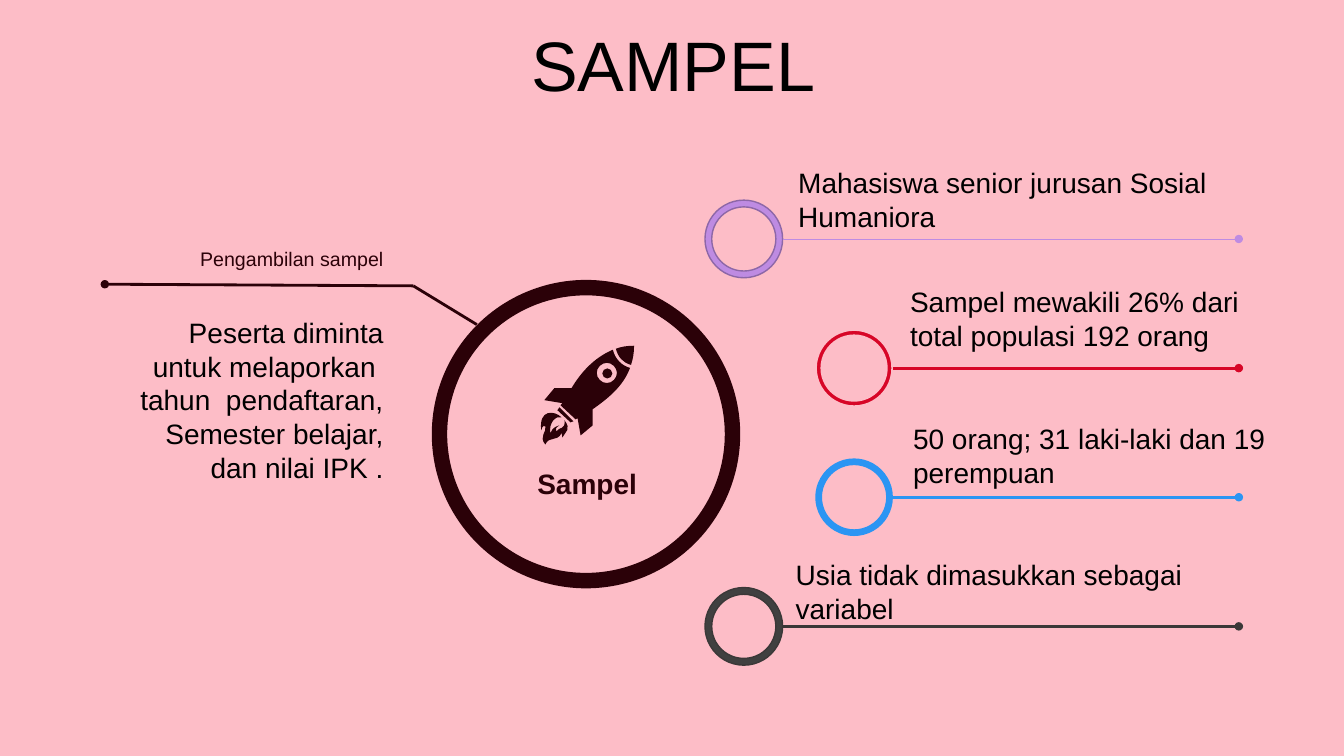
from itertools import chain, count

from lxml.etree import SubElement
from pptx import Presentation
from pptx.dml.color import RGBColor
from pptx.enum.shapes import MSO_CONNECTOR, MSO_SHAPE
from pptx.enum.text import MSO_ANCHOR, PP_ALIGN
from pptx.oxml.ns import qn
from pptx.util import Inches, Pt

CELL = 0.1
COLUMNS, ROWS = 133.33, 75
PINK, MAROON, BLACK = "FDBDC7", "2B0108", "000000"
RING, FIRST_RING, RING_PITCH = 7.7, 19.86, 12.81
BRANCH_END = 122.9

FACTS = [
    (69.94, "BE8BE2", "8D67A7", 1, "BE8BE2", 0.5, (78.2, 15.94, 44.4),
     "Mahasiswa senior jurusan Sosial Humaniora"),
    (80.88, "D70627", PINK, 2.25, "D70627", 2, (89.3, 27.7, 38.6),
     "Sampel mewakili 26% dari total populasi 192 orang"),
    (80.88, "2B95F3", None, 0, "2B95F3", 2, (89.6, 41.3, 43.7),
     "50 orang; 31 laki-laki dan 19 perempuan"),
    (69.94, "404040", "3B3838", 1, "3B3838", 2, (77.94, 54.8, 47.7),
     "Usia tidak dimasukkan sebagai variabel"),
]

ROCKET = [
    [(55.7, 41.4),
     (55.2, 41.2, 54.4, 41.9, 54.6, 43), (54.8, 42.4, 55.2, 42.3, 55.5, 42.2),
     (55.4, 42.3, 55, 42.4, 55.2, 42.8), (55.5, 42.3, 56.1, 42.7, 56, 41.7),
     (56.7, 42.6, 56.1, 42.8, 55.8, 43.4), (55.7, 43.3, 55.8, 42.7, 55.7, 43),
     (55.2, 43.9, 54.5, 43.2, 54.1, 44.1), (53.4, 43.3, 54.3, 42.8, 54.1, 42.3),
     (54, 42.2, 53.8, 42.2, 53.7, 42.7), (53.4, 40.6, 55, 40.7, 55.7, 41.4)],
    [(55.5, 40.4), (56.9, 41.8), (56.8, 41.8, 56.7, 41.9, 56.6, 41.9),
     (55.3, 40.7)],
    [(60.6, 36.7),
     (60.8, 36.9, 60.8, 37.2, 60.6, 37.4), (60.4, 37.6, 60.1, 37.6, 59.9, 37.4),
     (59.7, 37.2, 59.7, 36.9, 59.9, 36.7), (60.1, 36.5, 60.4, 36.5, 60.6, 36.7)],
    [(60.9, 36.3),
     (60.5, 35.9, 59.9, 35.9, 59.5, 36.3), (59.1, 36.7, 59.1, 37.3, 59.5, 37.7),
     (59.9, 38.1, 60.5, 38.1, 60.9, 37.7), (61.3, 37.3, 61.3, 36.7, 60.9, 36.3)],
    [(60.8, 34.7),
     (61, 35.6, 61.7, 36.3, 62.5, 36.5), (61.8, 38.4, 60.2, 39.6, 58.8, 40.6),
     (58.8, 42.2), (57.6, 43.2), (57.3, 41.5), (57.1, 41.6), (55.6, 40.2),
     (55.7, 40.1, 55.7, 40.1, 55.8, 40), (54, 39.7), (55, 38.5), (56.7, 38.5),
     (57.6, 37, 58.9, 35.5, 60.8, 34.7)],
    [(62.9, 34.3),
     (62.9, 35, 62.8, 35.6, 62.6, 36.2), (61.8, 36, 61.3, 35.4, 61.1, 34.6),
     (61.6, 34.4, 62.2, 34.3, 62.9, 34.3)],
]


def grid(*cells):
    """Turn grid cells into slide lengths."""
    return [Inches(cell * CELL) for cell in cells]


def color(value):
    """Turn a hex string into a colour."""
    return RGBColor.from_string(value)


def paint(figure, fill, outline=None, weight=0):
    """Give a figure its fill and outline and take away its shadow."""
    figure.shadow.inherit = False
    figure.fill.solid()
    figure.fill.fore_color.rgb = color(fill)
    if outline:
        figure.line.color.rgb = color(outline)
        figure.line.width = Pt(weight)
    else:
        figure.line.fill.background()


def add_ring(slide, left, top, size, thickness, fill, outline=None, weight=0):
    """Draw a ring."""
    ring = slide.shapes.add_shape(MSO_SHAPE.DONUT, *grid(left, top, size, size))
    ring.adjustments[0] = thickness
    paint(ring, fill, outline, weight)


def add_branch(slide, start, end, stroke, weight, dot=None):
    """Draw a line, with a dot at its head or tail end if asked."""
    branch = slide.shapes.add_connector(MSO_CONNECTOR.STRAIGHT, *grid(*start, *end))
    branch.line.color.rgb = color(stroke)
    branch.line.width = Pt(weight)
    if dot:
        SubElement(branch.line._get_or_add_ln(), qn(f"a:{dot}")).set("type", "oval")
    SubElement(branch._element.spPr, qn("a:effectLst"))


def add_label(slide, place, lines, size=20, ink=BLACK, align=PP_ALIGN.LEFT, bold=False):
    """Write one paragraph per line of text."""
    frame = slide.shapes.add_textbox(*grid(*place)).text_frame
    frame.word_wrap = True
    frame.vertical_anchor = MSO_ANCHOR.MIDDLE
    for number, line in enumerate(lines):
        paragraph = frame.add_paragraph() if number else frame.paragraphs[0]
        paragraph.alignment = align
        run = paragraph.add_run()
        run.text = line
        run.font.name = "Arial"
        run.font.size = Pt(size)
        run.font.bold = bold
        run.font.color.rgb = color(ink)
    return frame


def bend(stretch, knots, left, top):
    """Turn a straight stretch of an outline into a Bezier curve."""
    curve = stretch.makeelement(qn("a:cubicBezTo"))
    for x, y in zip(knots[::2], knots[1::2]):
        knot = SubElement(curve, qn("a:pt"))
        knot.set("x", str(x - left))
        knot.set("y", str(y - top))
    stretch.getparent().replace(stretch, curve)


def add_rocket(slide):
    """Draw the rocket in the central ring."""
    builder = slide.shapes.build_freeform(*grid(*ROCKET[0][0]))
    for number, (first, *segments) in enumerate(ROCKET):
        if number:
            builder.move_to(*grid(*first))
        builder.add_line_segments([grid(*segment[-2:]) for segment in segments], close=False)
    rocket = builder.convert_to_shape()
    paint(rocket, MAROON)
    stretches = list(rocket._element.iter(qn("a:lnTo")))
    segments = chain.from_iterable(contour[1:] for contour in ROCKET)
    for stretch, segment in zip(stretches, segments):
        if len(segment) == 6:
            bend(stretch, grid(*segment), rocket.left, rocket.top)


def add_facts(slide):
    """Lay out the four facts with their rings and branches."""
    for top, fact in zip(count(FIRST_RING, RING_PITCH), FACTS):
        left, fill, outline, weight, stroke, width, place, wording = fact
        middle = top + RING / 2
        add_ring(slide, left, top, RING, 0.087, fill, outline, weight)
        add_branch(slide, (left + RING, middle), (BRANCH_END, middle), stroke, width, "tailEnd")
        add_label(slide, (*place, 7.7), [wording])


def main():
    """Build the slide and save it."""
    deck = Presentation()
    deck.slide_width, deck.slide_height = grid(COLUMNS, ROWS)
    slide = deck.slides.add_slide(deck.slide_layouts[6])
    slide.background.fill.solid()
    slide.background.fill.fore_color.rgb = color(PINK)

    title = add_label(slide, (3.5, 3.1, 126.6, 7.9), ["SAMPEL"], 50, align=PP_ALIGN.CENTER)
    title.paragraphs[0].line_spacing = 0.8
    title.paragraphs[0].space_before = Pt(10)

    add_ring(slide, 42.84, 27.77, 30.6, 0.05, MAROON)
    add_label(slide, (12.64, 29.04, 26.4, 21.2),
              ["Peserta diminta untuk melaporkan  tahun  pendaftaran, ",
               "Semester belajar, dan nilai IPK ."], align=PP_ALIGN.RIGHT)
    add_label(slide, (12.64, 24, 26.4, 3.4), ["Pengambilan sampel"], 14, MAROON, PP_ALIGN.RIGHT)
    add_branch(slide, (10.4, 28.2), (41, 28.36), MAROON, 2, "headEnd")
    add_branch(slide, (41, 28.36), (47.3, 32.2), MAROON, 2)
    add_label(slide, (50.3, 45.75, 15.9, 4.4), ["Sampel"], 20, MAROON, PP_ALIGN.CENTER, True)
    add_facts(slide)
    add_rocket(slide)
    deck.save("out.pptx")


if __name__ == "__main__":
    main()
